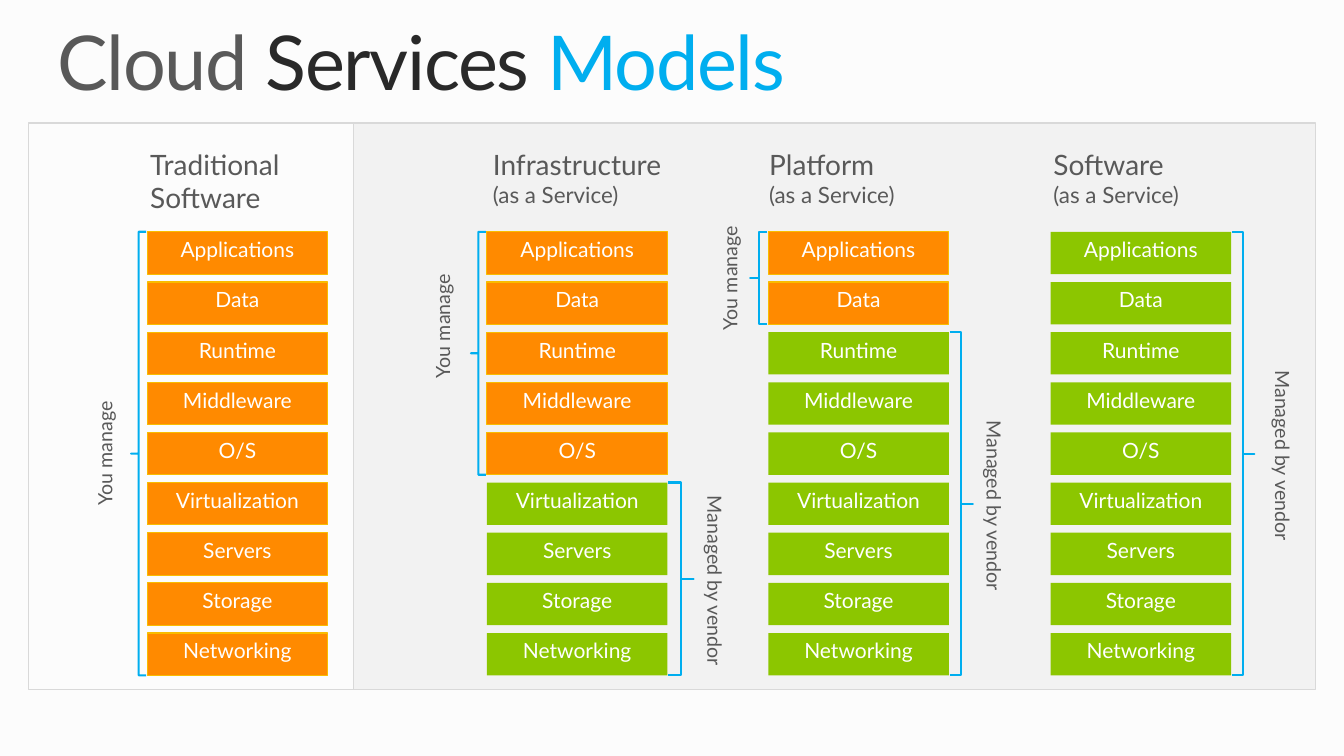
from pptx import Presentation
from pptx.dml.color import RGBColor
from pptx.enum.shapes import MSO_SHAPE
from pptx.enum.text import MSO_ANCHOR, MSO_AUTO_SIZE, PP_ALIGN
from pptx.util import Inches, Pt

RECT, BRACE = MSO_SHAPE.RECTANGLE, MSO_SHAPE.LEFT_BRACE
LEFT, MID = PP_ALIGN.LEFT, PP_ALIGN.CENTER
TOP, GROW = MSO_ANCHOR.TOP, MSO_AUTO_SIZE.SHAPE_TO_FIT_TEXT

GREY, DARK, BLUE, WHITE = "595959", "292929", "00AEEF", "FFFFFF"
ORANGE, GOLD, GREEN = "FF8A00", "F9BC00", "8CC600"
PAPER, PANEL, RULE = "FCFCFC", "F2F2F2", "D9D9D9"

# Grid: nine rows of layers, one column per model
LAYERS = ["Applications", "Data", "Runtime", "Middleware", "O/S",
          "Virtualization", "Servers", "Storage", "Networking"]
ROW_TOP, PITCH = 2.3, 3.98 / 8
BOX_W, BOX_H = 1.79, 0.42
HEAD_Y, HEAD_H = 1.46, 0.7

# Side of the brace, caption, caption length, box fill and line
YOU = dict(left=True, word="You manage", size=1.17,
           turn="vert270", fill=ORANGE, line=GOLD)
VENDOR = dict(left=False, word="Managed by vendor", size=1.85,
              turn="eaVert", fill=GREEN, line=None)

SERVICE = "(as a Service)"
# Column x, heading lines, heading offset, width and inset,
# blocks: owner, first row, end row, brace width, caption offset, caption lift
MODELS = [
    (1.46, ["Traditional", "Software"], None, (0.03, 2.04, 0),
     [(YOU, 0, 9, 0.15, -0.59, 0)]),
    (4.83, ["Infrastructure"], SERVICE, (-0.04, 2.31, 0.1),
     [(VENDOR, 5, 9, 0.25, 1.99, 0), (YOU, 0, 5, 0.15, -0.61, 0.27)]),
    (7.62, ["Platform"], SERVICE, (-0.09, 2.19, 0.1),
     [(VENDOR, 2, 9, 0.23, 1.97, 0), (YOU, 0, 2, 0.17, -0.55, 0)]),
    (10.42, ["Software"], SERVICE, (-0.07, 2.22, 0.1),
     [(VENDOR, 0, 9, 0.22, 2.03, 0)]),
]


def color(code):
    return RGBColor.from_string(code)


def row(num):
    return ROW_TOP + num * PITCH


def place(*spot):
    return [Inches(v) for v in spot]


def write(para, text, size, code):
    run = para.add_run()
    run.text = text
    for name, value in {"name": "Lato", "size": Pt(size)}.items():
        setattr(run.font, name, value)
    run.font.color.rgb = color(code)
    return run


def frame(shape, inset=(0.1, 0.05), **form):
    body = shape.text_frame
    side, edge = place(*inset)
    base = {"margin_left": side, "margin_right": side, "margin_top": edge,
            "margin_bottom": edge, "vertical_anchor": TOP, "word_wrap": True}
    for name, value in {**base, **form}.items():
        setattr(body, name, value)
    return body


def draw(shapes, kind, spot, fill=None, line=None, width=0.75):
    shape = shapes.add_shape(kind, *place(*spot))
    shape.shadow.inherit = False
    if fill:
        shape.fill.solid()
        shape.fill.fore_color.rgb = color(fill)
    else:
        shape.fill.background()
    if line:
        shape.line.color.rgb = color(line)
        shape.line.width = Pt(width)
    else:
        shape.line.fill.background()
    return shape


def layer(shapes, x, num, fill, line):
    box = draw(shapes, RECT, (x, row(num), BOX_W, BOX_H), fill, line)
    para = frame(box, (0, 0.05)).paragraphs[0]
    para.alignment = MID
    write(para, LAYERS[num], 15, WHITE)


def brace(shapes, spot, left):
    mark = draw(shapes, BRACE, spot, line=BLUE, width=1.5)
    mark.adjustments[0], mark.adjustments[1] = 0, 0.5
    if not left:
        mark._element.spPr.xfrm.set("flipH", "1")


def caption(shapes, x, mid, owner):
    size = owner["size"]
    box = shapes.add_textbox(*place(x, mid - size / 2, 0.44, size))
    body = frame(box, word_wrap=False, auto_size=GROW)
    body._txBody.bodyPr.set("vert", owner["turn"])
    para = body.paragraphs[0]
    para.alignment = MID
    write(para, owner["word"], 14, GREY)


def block(slide, x, owner, first, end, width, shift, lift):
    shapes = slide.shapes.add_group_shape().shapes
    for num in range(first, end):
        layer(shapes, x, num, owner["fill"], owner["line"])
    top = row(first)
    tall = row(end - 1) + BOX_H - top
    start = x - 0.01 - width if owner["left"] else x + BOX_W + 0.01
    brace(shapes, (start, top, width, tall), owner["left"])
    caption(shapes, x + shift, top + tall / 2 - lift, owner)


def heading(slide, x, lines, note, width, inset):
    box = slide.shapes.add_textbox(*place(x, HEAD_Y, width, HEAD_H))
    body = frame(box, (inset, 0))
    para = body.paragraphs[0]
    for num, text in enumerate(lines):
        if num:
            para.add_line_break()
        write(para, text, 20, GREY)
    if note:
        write(body.add_paragraph(), note, 16, GREY)


def title(slide):
    head = slide.shapes.title
    spot = place(0.57, 0.25, 12.2, 0.82)
    for name, value in zip(("left", "top", "width", "height"), spot):
        setattr(head, name, value)
    para = frame(head, (0, 0), auto_size=GROW).paragraphs[0]
    para.alignment, para.line_spacing = LEFT, 0.9
    for text, code in (("Cloud ", GREY), ("Services", DARK), (" Models", BLUE)):
        run = write(para, text, 54, code)
        run.font._element.set("spc", "-100")


def main():
    deck = Presentation()
    deck.slide_width, deck.slide_height = place(13.33, 7.5)
    slide = deck.slides.add_slide(deck.slide_layouts[5])
    slide.background.fill.solid()
    slide.background.fill.fore_color.rgb = color(PAPER)

    # Panels behind the columns
    draw(slide.shapes, RECT, (3.51, 1.22, 9.54, 5.62), PANEL, RULE)
    draw(slide.shapes, RECT, (0.28, 1.22, 3.23, 5.62), None, RULE)
    title(slide)

    # One column per service model
    for x, lines, note, (shift, width, inset), blocks in MODELS:
        heading(slide, x + shift, lines, note, width, inset)
        for part in blocks:
            block(slide, x, *part)

    deck.save("out.pptx")


if __name__ == "__main__":
    main()
